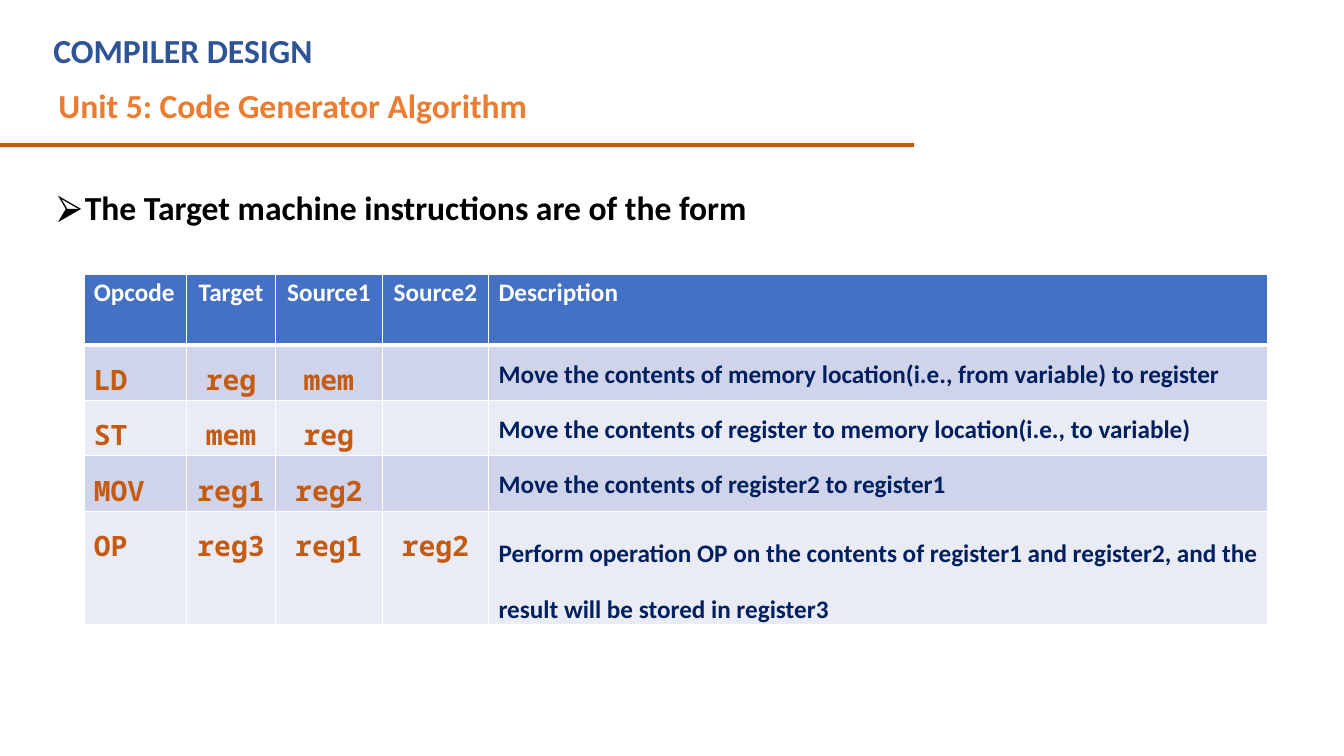
from dataclasses import dataclass

import pptx
import pptx.util
from lxml import etree
from pptx.dml.color import RGBColor
from pptx.enum.shapes import MSO_SHAPE
from pptx.enum.text import MSO_ANCHOR, MSO_AUTO_SIZE, PP_ALIGN
from pptx.oxml.ns import qn

Pt = pptx.util.Pt


@dataclass(frozen=True)
class Theme:
    font: str = "Calibri"
    code_font: str = "Noto Sans Mono"
    heading_size: float = 24
    code_size: float = 20
    table_size: float = 18
    course: str = "2E5496"
    unit: str = "EC7C30"
    accent: str = "C55A11"
    text: str = "000000"
    description: str = "001F5F"
    header: str = "4471C4"
    bands: tuple = ("CFD4EA", "E9EBF5")
    white: str = "FFFFFF"


@dataclass(frozen=True)
class Box:
    left: float
    top: float
    width: float
    height: float

    def lengths(self):
        return [Pt(v) for v in (self.left, self.top, self.width, self.height)]


THEME = Theme()
COLUMN_WIDTHS = (73.3, 63.5, 76.3, 76, 556.5)
ROW_HEIGHTS = (50.2, 39.6, 39.6, 39.6, 68.4)
HEADINGS = ("Opcode", "Target", "Source1", "Source2", "Description")
INSTRUCTIONS = (
    ("LD", "reg", "mem", "",
     "Move the contents of memory location(i.e., from variable) to register"),
    ("ST", "mem", "reg", "",
     "Move the contents of register to memory location(i.e., to variable)"),
    ("MOV", "reg1", "reg2", "", "Move the contents of register2 to register1"),
    ("OP", "reg3", "reg1", "reg2",
     "Perform operation OP on the contents of register1 and register2, "
     "and the  result will be stored in register3"),
)


def add_run(paragraph, text, size, color, font=THEME.font):
    run = paragraph.add_run()
    run.text = text
    run.font.name = font
    run.font.size = Pt(size)
    run.font.bold = True
    run.font.color.rgb = RGBColor.from_string(color)


def indent(paragraph, margin, first_line=0):
    properties = paragraph._p.get_or_add_pPr()
    properties.set("marL", str(Pt(margin)))
    properties.set("indent", str(Pt(first_line)))
    return properties


def space(paragraph, before=0, lines=1.0):
    paragraph.space_before = Pt(before)
    paragraph.space_after = Pt(0)
    paragraph.line_spacing = lines


def place_text(placeholder, box):
    """Move a placeholder to the box and clear its insets and fitting."""
    placeholder.left, placeholder.top, placeholder.width, placeholder.height = box.lengths()
    frame = placeholder.text_frame
    frame.margin_left = frame.margin_top = frame.margin_right = frame.margin_bottom = 0
    frame.vertical_anchor = MSO_ANCHOR.TOP
    frame.auto_size = MSO_AUTO_SIZE.NONE
    frame.word_wrap = True
    return frame


def add_heading(slide, box):
    """Course and unit titles with the rule that closes the heading."""
    frame = place_text(slide.shapes.title, Box(box.left + 37.4, box.top + 21.6, 496.8, 75))
    lines = (("COMPILER DESIGN", THEME.course, 0.7, 0),
             ("Unit 5: Code Generator Algorithm", THEME.unit, 4.3, 10.2))
    for number, (text, color, margin, before) in enumerate(lines):
        paragraph = frame.add_paragraph() if number else frame.paragraphs[0]
        paragraph.alignment = PP_ALIGN.LEFT
        indent(paragraph, margin)
        space(paragraph, before)
        add_run(paragraph, text, THEME.heading_size, color)

    rule = slide.shapes.add_shape(
        MSO_SHAPE.RECTANGLE, *Box(box.left, box.top + 102.2, box.width, 3).lengths())
    rule.shadow.inherit = False
    rule.fill.solid()
    rule.fill.fore_color.rgb = RGBColor.from_string(THEME.accent)
    rule.line.fill.background()


def add_statement(slide, box):
    paragraph = place_text(slide.placeholders[1], box).paragraphs[0]
    paragraph.alignment = PP_ALIGN.LEFT
    properties = indent(paragraph, 23.2, -19.4)
    space(paragraph)
    bullet_color = etree.SubElement(properties, qn("a:buClr"))
    etree.SubElement(bullet_color, qn("a:srgbClr"), val=THEME.text)
    etree.SubElement(properties, qn("a:buChar"), char="⮚")
    add_run(paragraph, "The Target machine instructions are of the form",
            THEME.heading_size, THEME.text)


def set_borders(cell, top, bottom):
    properties = cell._tc.get_or_add_tcPr()
    for side, width in (("L", 1), ("R", 1), ("T", top), ("B", bottom)):
        line = etree.SubElement(properties, qn(f"a:ln{side}"), w=str(Pt(width)))
        fill = etree.SubElement(line, qn("a:solidFill"))
        etree.SubElement(fill, qn("a:srgbClr"), val=THEME.white)


def fill_cell(cell, text, row, column):
    is_header = row == 0
    is_description = column == len(HEADINGS) - 1
    is_long = is_description and row == len(INSTRUCTIONS)
    set_borders(cell, top=3 if row == 1 else 1, bottom=3 if is_header else 1)
    cell.fill.solid()
    cell.fill.fore_color.rgb = RGBColor.from_string(
        THEME.header if is_header else THEME.bands[(row - 1) % 2])
    cell.margin_left = cell.margin_right = cell.margin_bottom = 0
    cell.margin_top = Pt(2.2 if is_header or is_long else 10.1 if is_description else 10.8)
    if not text:
        return

    paragraph = cell.text_frame.paragraphs[0]
    if column == 0 or is_description:
        indent(paragraph, 7.1)
    else:
        paragraph.alignment = PP_ALIGN.CENTER
    if is_long:
        paragraph.line_spacing = 1.8
    if is_header:
        add_run(paragraph, text, THEME.table_size, THEME.white)
    elif is_description:
        add_run(paragraph, text, THEME.table_size, THEME.description)
    else:
        add_run(paragraph, text, THEME.code_size, THEME.accent, THEME.code_font)


def add_instruction_table(slide, box):
    rows = (HEADINGS, *INSTRUCTIONS)
    table = slide.shapes.add_table(len(rows), len(HEADINGS), *box.lengths()).table
    for column, width in zip(table.columns, COLUMN_WIDTHS):
        column.width = Pt(width)
    for row, height in zip(table.rows, ROW_HEIGHTS):
        row.height = Pt(height)
    for row, texts in enumerate(rows):
        for column, text in enumerate(texts):
            fill_cell(table.cell(row, column), text, row, column)


def main():
    presentation = pptx.Presentation()
    presentation.slide_width, presentation.slide_height = Pt(960), Pt(540)
    slide = presentation.slides.add_slide(presentation.slide_layouts[1])
    add_heading(slide, Box(0, 0, 653, 105.2))
    add_statement(slide, Box(37.4, 133.3, 496.8, 30))
    add_instruction_table(slide, Box(60, 196.2, sum(COLUMN_WIDTHS), sum(ROW_HEIGHTS)))
    presentation.save("out.pptx")


if __name__ == "__main__":
    main()
